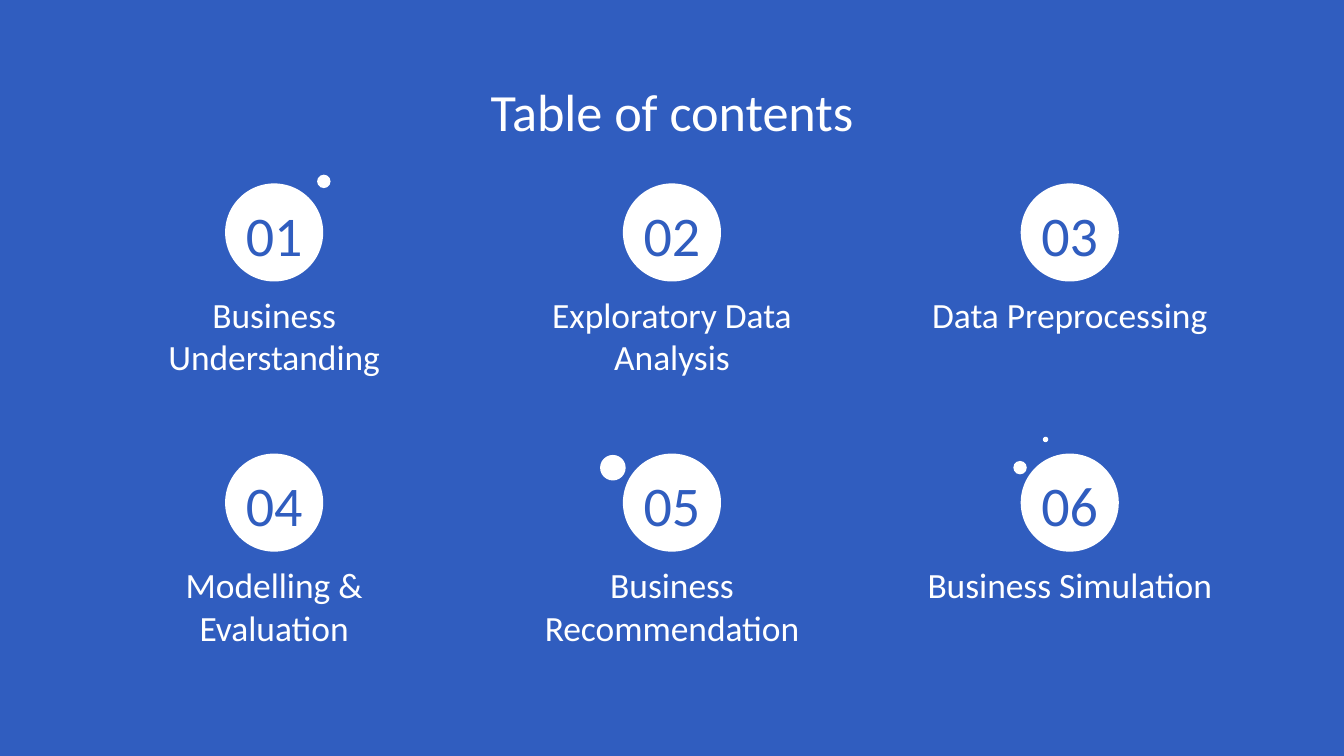
from pptx import Presentation
from pptx.dml.color import RGBColor
from pptx.enum.shapes import MSO_SHAPE as Shape
from pptx.enum.text import MSO_ANCHOR as Anchor, PP_ALIGN as Align
from pptx.util import Inches, Pt

BLUE = RGBColor(0x30, 0x5D, 0xBF)
WHITE = RGBColor(0xFF, 0xFF, 0xFF)
FONT = "Calibri"

WIDE = 10
HIGH = WIDE * 9 / 16
COLS = 3
MID_X, STEP_X = WIDE / 2, 2.96
TOP_Y, STEP_Y = 1.73, 2.01
DISC = 0.73
LABEL_W, LABEL_H, LABEL_DY = 2.65, 0.46, 0.35

TOPICS = [
    "Business Understanding",
    "Exploratory Data Analysis",
    "Data Preprocessing",
    "Modelling & Evaluation",
    "Business Recommendation",
    "Business Simulation",
]

# Column, row, offset from the disc centre, diameter
DOTS = [
    (0, 0, 0.37, -0.38, 0.1),
    (2, 1, -0.37, -0.26, 0.1),
    (2, 1, -0.18, -0.47, 0.04),
    (1, 1, -0.44, -0.26, 0.19),
]


def center(col, row):
    """Return the centre of the disc in a grid cell."""
    return MID_X + (col - 1) * STEP_X, TOP_Y + row * STEP_Y


def add_disc(slide, x, y, size):
    """Draw a white circle around a centre point."""
    box = [Inches(v) for v in (x - size / 2, y - size / 2, size, size)]
    disc = slide.shapes.add_shape(Shape.OVAL, *box)
    disc.shadow.inherit = False
    disc.fill.solid()
    disc.fill.fore_color.rgb = WHITE
    disc.line.fill.background()


def add_text(slide, text, x, top, wide, high, size,
             color=WHITE, anchor=Anchor.TOP):
    """Write text in a box that is centred on x."""
    box = [Inches(v) for v in (x - wide / 2, top, wide, high)]
    frame = slide.shapes.add_textbox(*box).text_frame
    frame.word_wrap = True
    frame.vertical_anchor = anchor
    frame.margin_left = frame.margin_right = Inches(0.1)
    frame.margin_top = frame.margin_bottom = Inches(0.1)
    frame.text = text
    para = frame.paragraphs[0]
    para.alignment = Align.CENTER
    font = para.runs[0].font
    font.name, font.size = FONT, Pt(size)
    font.color.rgb = color


def add_topic(slide, index, topic):
    row, col = divmod(index, COLS)
    x, y = center(col, row)
    add_disc(slide, x, y, DISC)
    add_text(slide, topic, x, y + LABEL_DY, LABEL_W, LABEL_H, 19)
    add_text(slide, f"{index + 1:02}", x, y - DISC / 2, DISC, DISC, 30,
             BLUE, Anchor.BOTTOM)


def main():
    deck = Presentation()
    deck.slide_width, deck.slide_height = Inches(WIDE), Inches(HIGH)
    slide = deck.slides.add_slide(deck.slide_layouts[6])
    back = slide.background.fill
    back.solid()
    back.fore_color.rgb = BLUE

    add_text(slide, "Table of contents", MID_X, 0.49, 9.32, 0.63, 28)
    for index, topic in enumerate(TOPICS):
        add_topic(slide, index, topic)
    for col, row, dx, dy, size in DOTS:
        x, y = center(col, row)
        add_disc(slide, x + dx, y + dy, size)

    deck.save("out.pptx")


if __name__ == "__main__":
    main()
